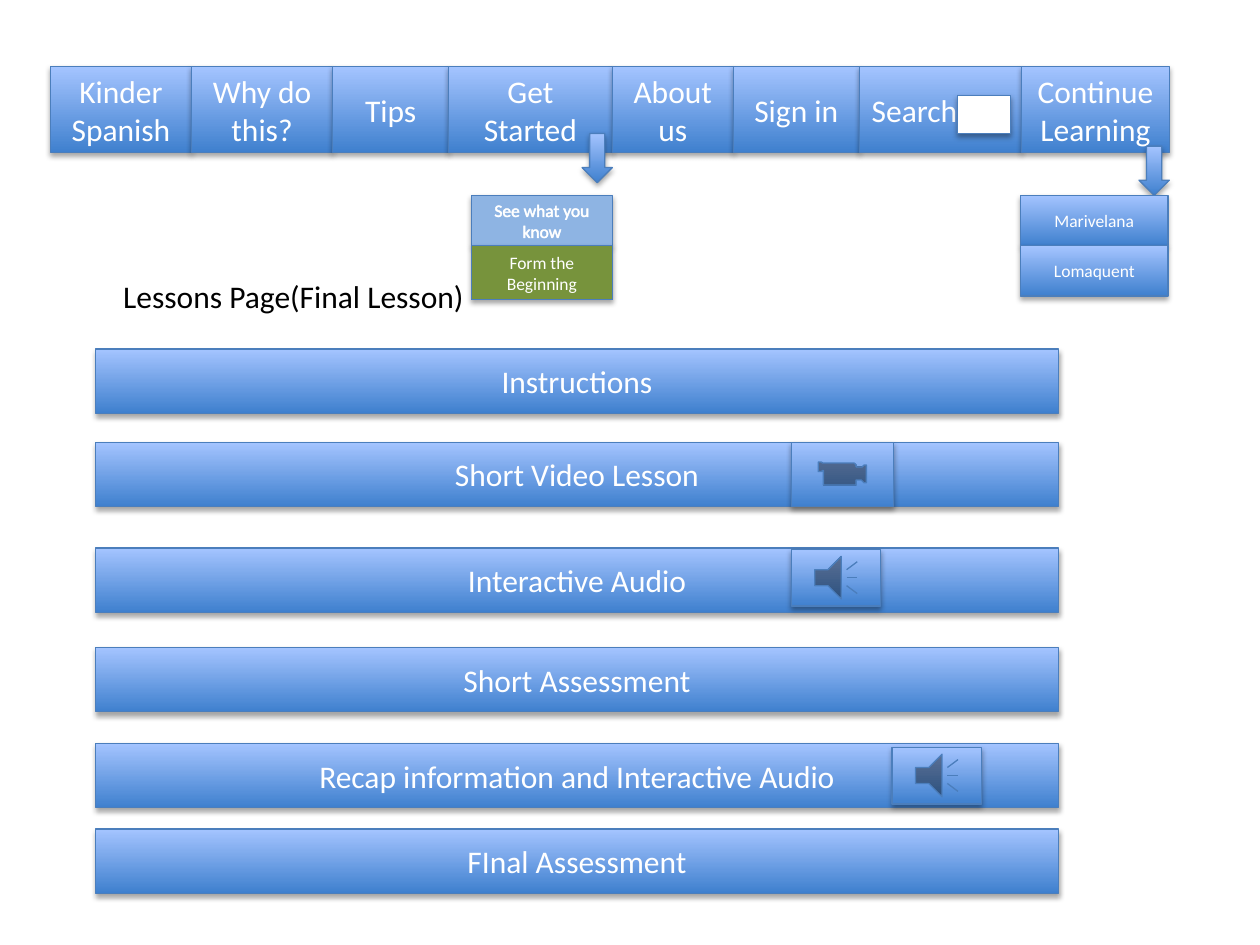
from itertools import accumulate

from lxml.etree import SubElement
from pptx import Presentation
from pptx.dml.color import RGBColor
from pptx.enum.shapes import MSO_SHAPE
from pptx.enum.text import MSO_ANCHOR, PP_ALIGN
from pptx.oxml.ns import qn
from pptx.util import Inches, Pt

COLUMNS, ROWS = 100, 75
WIDTH, HEIGHT = Inches(10), Inches(7.5)
COLORS = {
    "deep": "3F80CE", "pale": "A4C4FF", "edge": "4B7EBC", "white": "FFFFFF",
    "black": "000000", "sky": "8EB4E3", "olive": "77933C",
}
NAV_LEFT, NAV_TOP, NAV_HEIGHT = 4, 5.3, 6.8
NAV = [("Kinder Spanish", 11.2), ("Why do this?", 11.2), ("Tips", 9.2),
       ("Get Started", 13), ("About us", 9.6), ("Sign in", 10),
       ("Search ", 12.9), ("Continue Learning", 11.7)]
MENU_TOP = 15.5
MENUS = [
    (46.2, 10.6, 37.4, 11.2, [("See what you know", 4, "sky"),
                              ("Form the Beginning", 4.3, "olive")]),
    (90.4, 11.6, 81, 11.7, [("Marivelana", 4, None), ("Lomaquent", 4, None)]),
]
LESSON_LEFT, LESSON_WIDTH, LESSON_HEIGHT = 7.6, 76.4, 5.1
LESSONS = [("Instructions", 27.7), ("Short Video Lesson", 35.1),
           ("Interactive Audio", 43.5), ("Short Assessment", 51.4),
           ("Recap information and Interactive Audio", 59),
           ("FInal Assessment", 65.8)]
MEDIA = [(MSO_SHAPE.ACTION_BUTTON_SOUND, 62.8, 43.6, 7.1, 4.5),
         (MSO_SHAPE.ACTION_BUTTON_SOUND, 70.8, 59.3, 7.1, 4.5),
         (MSO_SHAPE.ACTION_BUTTON_MOVIE, 62.8, 35.1, 8.1, 5.1)]


def rgb(name):
    """Return the named palette colour."""
    return RGBColor.from_string(COLORS[name])


def place(left, top, width, height):
    """Convert grid columns and rows to slide lengths."""
    return (round(WIDTH * left / COLUMNS), round(HEIGHT * top / ROWS),
            round(WIDTH * width / COLUMNS), round(HEIGHT * height / ROWS))


def add_shadow(block):
    """Cast a soft shadow straight down."""
    block.shadow.inherit = False
    effects = block.fill._xPr.find(qn("a:effectLst"))
    shade = SubElement(effects, qn("a:outerShdw"), blurRad=str(Pt(3.1)),
                       dist=str(Pt(1.8)), dir="5400000", rotWithShape="0")
    color = SubElement(shade, qn("a:srgbClr"), val=COLORS["black"])
    SubElement(color, qn("a:alpha"), val="35000")


def add_block(slide, kind, box, fill=None):
    """Add a shadowed shape, glossy blue unless a fill is named."""
    block = slide.shapes.add_shape(kind, *place(*box))
    if fill:
        block.fill.solid()
        block.fill.fore_color.rgb = rgb(fill)
    else:
        block.fill.gradient()
        block.fill.gradient_angle = 90
        for stop, name in zip(block.fill.gradient_stops, ("deep", "pale")):
            stop.color.rgb = rgb(name)
    block.line.color.rgb = rgb("edge")
    block.line.width = Pt(0.75)
    add_shadow(block)
    return block


def write(holder, words, size=18, color="white", align=PP_ALIGN.CENTER):
    """Write one formatted paragraph and return its run."""
    holder.text_frame.text = words
    paragraph = holder.text_frame.paragraphs[0]
    paragraph.alignment = align
    run = paragraph.runs[0]
    run.font.name, run.font.size = "Calibri", Pt(size)
    run.font.color.rgb = rgb(color)
    return run


def add_button(slide, words, box, size=18, fill=None, align=PP_ALIGN.CENTER):
    """Add a labelled rectangle and return its text run."""
    button = add_block(slide, MSO_SHAPE.RECTANGLE, box, fill)
    button.text_frame.word_wrap = True
    button.text_frame.vertical_anchor = MSO_ANCHOR.MIDDLE
    return write(button, words, size, align=align)


def outline_text(run):
    """Give a run a white outline."""
    properties = run.font._element
    line = SubElement(properties, qn("a:ln"), w=str(Pt(1.45)))
    fill = SubElement(line, qn("a:solidFill"))
    SubElement(fill, qn("a:srgbClr"), val=COLORS["white"])
    properties.insert(0, line)


def add_navigation(slide):
    """Add the row of navigation buttons with its search field."""
    lefts = accumulate((width for _, width in NAV), initial=NAV_LEFT)
    for (words, width), left in zip(NAV, lefts):
        align = PP_ALIGN.LEFT if words == "Search " else PP_ALIGN.CENTER
        add_button(slide, words, (left, NAV_TOP, width, NAV_HEIGHT), align=align)
    add_block(slide, MSO_SHAPE.RECTANGLE, (76, 7.6, 4.2, 3), "white")


def add_menu(slide, arrow_left, arrow_top, left, width, entries):
    """Add a down arrow and the stacked entries it opens."""
    add_block(slide, MSO_SHAPE.DOWN_ARROW, (arrow_left, arrow_top, 2.4, 3.9))
    top = MENU_TOP
    for words, height, fill in entries:
        run = add_button(slide, words, (left, top, width, height), 10, fill)
        if fill == "sky":
            outline_text(run)
        top += height


def add_heading(slide):
    """Add the page heading."""
    heading = slide.shapes.add_textbox(*place(8.8, 21.5, 29.4, 4))
    heading.text_frame.word_wrap = False
    write(heading, "Lessons Page(Final Lesson)", color="black", align=PP_ALIGN.LEFT)


def main():
    """Build the lesson page wireframe."""
    deck = Presentation()
    deck.slide_width, deck.slide_height = WIDTH, HEIGHT
    slide = deck.slides.add_slide(deck.slide_layouts[6])
    add_navigation(slide)
    for menu in MENUS:
        add_menu(slide, *menu)
    add_heading(slide)
    for words, top in LESSONS:
        add_button(slide, words, (LESSON_LEFT, top, LESSON_WIDTH, LESSON_HEIGHT))
    for kind, *box in MEDIA:
        add_block(slide, kind, box)
    deck.save("out.pptx")


main()
